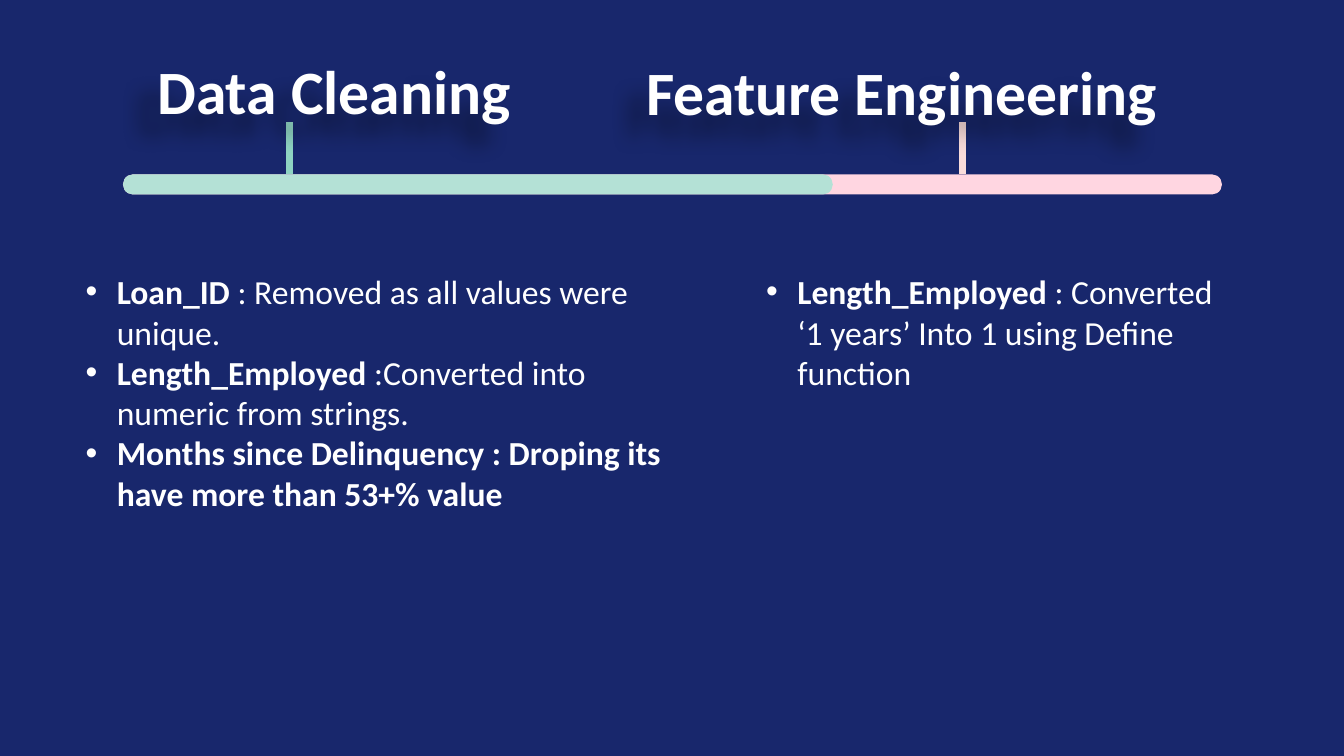
from lxml import etree
from pptx import Presentation
from pptx.dml.color import RGBColor
from pptx.enum.shapes import MSO_CONNECTOR, MSO_SHAPE
from pptx.enum.text import MSO_ANCHOR, MSO_AUTO_SIZE, PP_ALIGN
from pptx.oxml import parse_xml
from pptx.oxml.ns import qn
from pptx.util import Inches, Pt

LEFT, TOP = PP_ALIGN.LEFT, MSO_ANCHOR.TOP
NO_AUTO_SIZE = MSO_AUTO_SIZE.NONE
STRAIGHT = MSO_CONNECTOR.STRAIGHT
ROUNDED = MSO_SHAPE.ROUNDED_RECTANGLE
TITLE_ONLY = 5

NAVY, WHITE = "18276C", "FFFFFF"
MINT, MINT_DARK = "B4E1D6", "8ED3C2"
PINK, PINK_LIGHT = "FFD6E1", "F9DCDA"
FONT = "Calibri"
INDENT = 0.31

HEADING_SHADOW = (
    '<a:effectLst xmlns:a="http://schemas.openxmlformats.org/drawingml/2006/main">'
    f'<a:outerShdw blurRad="{Inches(0.2)}" dist="{Inches(0.28)}" dir="8100000" '
    'algn="tr" rotWithShape="0"><a:srgbClr val="000000"><a:alpha val="40000"/>'
    "</a:srgbClr></a:outerShdw></a:effectLst>"
)

CLEANING_STEPS = [
    [("Loan_ID ", True), (": Removed as all values were unique.", False)],
    [("Length_Employed ", True), (":Converted into numeric from strings.", False)],
    [("Months since Delinquency : Droping its have more than 53+% value", True)],
]
ENGINEERING_STEPS = [
    [("Length_Employed ", True),
     (": Converted ‘1 years’ Into 1 using Define function", False)],
]


def color(value):
    return RGBColor.from_string(value)


def add_text(paragraph, text, size=24, bold=False, fill=WHITE):
    run = paragraph.add_run()
    run.text = text
    run.font.name = FONT
    run.font.size = Pt(size)
    run.font.bold = bold
    run.font.color.rgb = color(fill)


def add_bullet(paragraph):
    properties = paragraph._p.get_or_add_pPr()
    properties.set("marL", str(Inches(INDENT)))
    properties.set("indent", str(-Inches(INDENT)))
    etree.SubElement(properties, qn("a:buFont")).set("typeface", "Arial")
    etree.SubElement(properties, qn("a:buChar")).set("char", "•")


def format_heading(shape, text, left, top, width, height):
    shape.left, shape.top = Inches(left), Inches(top)
    shape.width, shape.height = Inches(width), Inches(height)
    frame = shape.text_frame
    frame.word_wrap = True
    frame.auto_size = NO_AUTO_SIZE
    frame.vertical_anchor = TOP
    frame.paragraphs[0].alignment = LEFT
    add_text(frame.paragraphs[0], text, size=44, bold=True)
    shape.element.spPr.append(parse_xml(HEADING_SHADOW))


def add_bar(slide, left, top, width, height, fill):
    bar = slide.shapes.add_shape(
        ROUNDED, Inches(left), Inches(top), Inches(width), Inches(height))
    bar.adjustments[0] = 0.5
    bar.shadow.inherit = False
    bar.fill.solid()
    bar.fill.fore_color.rgb = color(fill)
    bar.line.fill.background()


def add_stem(slide, x, bottom, height, fill):
    stem = slide.shapes.add_connector(
        STRAIGHT, Inches(x), Inches(bottom - height), Inches(x), Inches(bottom))
    stem.line.color.rgb = color(fill)
    stem.line.width = Pt(5)
    etree.SubElement(stem.element.spPr, qn("a:effectLst"))


def add_timeline(slide, left, top, width, height):
    """Draw the two-part bar and the stems that join it to the headings."""
    add_bar(slide, left, top, width, height, PINK)
    add_bar(slide, left, top, 7.04, height, MINT)
    for offset, fill in ((1.65, MINT_DARK), (8.33, PINK_LIGHT)):
        add_stem(slide, left + offset, top, 0.52, fill)


def add_steps(slide, steps, left, top, width, height, right_margin=0.1):
    box = slide.shapes.add_textbox(
        Inches(left), Inches(top), Inches(width), Inches(height))
    frame = box.text_frame
    frame.word_wrap = True
    frame.margin_right = Inches(right_margin)
    for index, step in enumerate(steps):
        paragraph = frame.add_paragraph() if index else frame.paragraphs[0]
        add_bullet(paragraph)
        for text, bold in step:
            add_text(paragraph, text, bold=bold)


def add_headings(slide, left, top):
    title = slide.shapes.title
    title.element.getparent().append(title.element)
    format_heading(title, "Data Cleaning", left, top, 3.84, 0.84)
    second = slide.shapes.add_textbox(0, 0, 0, 0)
    format_heading(second, "Feature Engineering", left + 4.85, top + 0.02, 5.68, 0.86)


def main():
    presentation = Presentation()
    presentation.slide_width = Inches(13.33)
    presentation.slide_height = Inches(7.5)
    slide = presentation.slides.add_slide(presentation.slide_layouts[TITLE_ONLY])
    slide.background.fill.solid()
    slide.background.fill.fore_color.rgb = color(NAVY)
    add_timeline(slide, 1.22, 1.73, 10.9, 0.2)
    add_steps(slide, CLEANING_STEPS, 0.75, 2.64, 5.92, 2.52)
    add_steps(slide, ENGINEERING_STEPS, 7.5, 2.64, 5.38, 1.31, right_margin=0.7)
    add_headings(slide, 1.46, 0.47)
    presentation.save("out.pptx")


if __name__ == "__main__":
    main()
